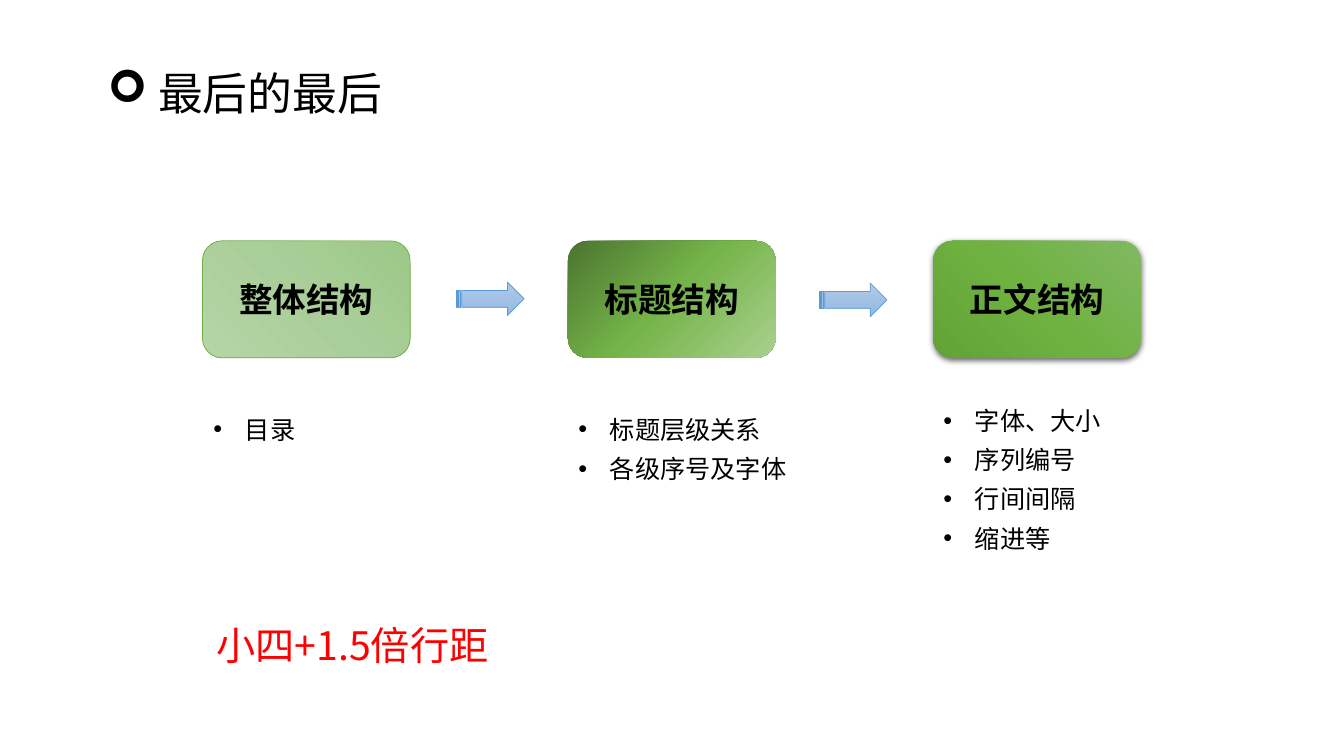
"""Build the closing slide on overall, heading and body structure."""
from pptx import Presentation
from pptx.dml.color import RGBColor
from pptx.enum.shapes import MSO_SHAPE
from pptx.enum.text import MSO_ANCHOR, MSO_AUTO_SIZE, PP_ALIGN
from pptx.oxml import parse_xml
from pptx.oxml.ns import nsdecls, qn
from pptx.util import Pt

FONT = "Noto Sans CJK SC"
BLACK, RED = "000000", "FF0000"

TITLE = "最后的最后"
REMARK = "小四+1.5倍行距"
CORNER_GLOW = (
    '<a:path path="circle"><a:fillToRect l="0" t="100000" r="100000" b="0"/></a:path>'
)
STAGES = [
    {
        "heading": "整体结构",
        "points": ["目录"],
        "points_box": (145.4, 285.8, 73.4, 33.1),
        "stops": [(0, "B5D5A7"), (50, "AACE9A"), (100, "9CC987")],
        "direction": CORNER_GLOW,
        "outline": "70AD47",
        "raised": False,
    },
    {
        "heading": "标题结构",
        "points": ["标题层级关系", "各级序号及字体"],
        "points_box": (406, 285.8, 164.2, 61.9),
        "stops": [(0, "4B7430"), (48, "74B349"), (100, "A9D18E")],
        "direction": '<a:lin ang="2700000" scaled="0"/>',
        "outline": None,
        "raised": False,
    },
    {
        "heading": "正文结构",
        "points": ["字体、大小", "序列编号", "行间间隔", "缩进等"],
        "points_box": (666.7, 279.4, 128.2, 118.8),
        "stops": [(0, "81B861"), (50, "6FB242"), (100, "62A336")],
        "direction": '<a:lin ang="8100000" scaled="0"/>',
        "outline": None,
        "raised": True,
    },
]
ARROW_STOPS = [(0, "B1CBE9"), (50, "A3C1E5"), (100, "93B9E4")]
ARROW_DIRECTION = '<a:lin ang="5400000" scaled="0"/>'
ARROW_OUTLINE = "5B9BD5"
ARROW_PLACES = [(326.2, 201.6), (585.4, 202.3)]

STAGE_LEFT, STAGE_TOP, STAGE_STEP = 144.7, 172.1, 261
STAGE_WIDTH, STAGE_HEIGHT = 148.3, 83.5
ARROW_WIDTH, ARROW_HEIGHT = 48.2, 23.8


def color(hex_code):
    return RGBColor.from_string(hex_code)


def add_run(paragraph, text, size, hex_code, bold=False):
    run = paragraph.add_run()
    run.text = text
    run.font.size = Pt(size)
    run.font.name = FONT
    run.font.bold = bold
    run.font.color.rgb = color(hex_code)
    properties = run.font._element
    properties.append(parse_xml(f'<a:ea {nsdecls("a")} typeface="{FONT}"/>'))


def add_bullet(paragraph, symbol, typeface, indent):
    properties = paragraph._p.get_or_add_pPr()
    properties.set("marL", str(Pt(indent)))
    properties.set("indent", str(-Pt(indent)))
    for tag, key, value in (("buFont", "typeface", typeface), ("buChar", "char", symbol)):
        properties.append(parse_xml(f'<a:{tag} {nsdecls("a")} {key}="{value}"/>'))


def add_lines(slide, box, lines, size, hex_code, bullet=None, spacing=None, wrap=False):
    frame = slide.shapes.add_textbox(*map(Pt, box)).text_frame
    frame.word_wrap = wrap
    frame.auto_size = MSO_AUTO_SIZE.SHAPE_TO_FIT_TEXT
    for index, line in enumerate(lines):
        paragraph = frame.add_paragraph() if index else frame.paragraphs[0]
        if spacing:
            paragraph.line_spacing = spacing
        if bullet:
            add_bullet(paragraph, *bullet)
        add_run(paragraph, line, size, hex_code)


def add_gradient_shape(slide, preset, box, stops, direction, outline):
    shape = slide.shapes.add_shape(preset, *map(Pt, box))
    shape.shadow.inherit = False
    shape.fill.background()
    stop_xml = "".join(
        f'<a:gs pos="{place * 1000}"><a:srgbClr val="{hex_code}"/></a:gs>'
        for place, hex_code in stops
    )
    gradient = parse_xml(
        f'<a:gradFill {nsdecls("a")} rotWithShape="1">'
        f"<a:gsLst>{stop_xml}</a:gsLst>{direction}</a:gradFill>"
    )
    properties = shape._element.spPr
    properties.replace(properties.find(qn("a:noFill")), gradient)
    if outline:
        shape.line.color.rgb = color(outline)
        shape.line.width = Pt(0.5)
    else:
        shape.line.fill.background()
    return shape


def raise_shape(shape):
    effects = shape._element.spPr.find(qn("a:effectLst"))
    effects.append(parse_xml(
        f'<a:outerShdw {nsdecls("a")} blurRad="{Pt(4.5)}" dist="{Pt(1.5)}" '
        'dir="5400000" algn="ctr" rotWithShape="0">'
        f'<a:srgbClr val="{BLACK}"><a:alpha val="63000"/></a:srgbClr></a:outerShdw>'
    ))


def add_stage(slide, index, stage):
    box = (STAGE_LEFT + index * STAGE_STEP, STAGE_TOP, STAGE_WIDTH, STAGE_HEIGHT)
    card = add_gradient_shape(
        slide, MSO_SHAPE.ROUNDED_RECTANGLE, box,
        stage["stops"], stage["direction"], stage["outline"],
    )
    if stage["raised"]:
        raise_shape(card)
    card.text_frame.vertical_anchor = MSO_ANCHOR.MIDDLE
    heading = card.text_frame.paragraphs[0]
    heading.alignment = PP_ALIGN.CENTER
    add_run(heading, stage["heading"], 24, BLACK, bold=True)
    add_lines(slide, stage["points_box"], stage["points"], 18, BLACK,
              bullet=("•", "Arial", 22.5), spacing=1.3)


def main():
    deck = Presentation()
    deck.slide_width, deck.slide_height = Pt(960), Pt(540)
    slide = deck.slides.add_slide(deck.slide_layouts[6])
    add_lines(slide, (69.8, 43.2, 212.4, 46.1), [TITLE], 32, BLACK,
              bullet=("➢", "Wingdings", 36))
    for index, stage in enumerate(STAGES):
        add_stage(slide, index, stage)
    for left, top in ARROW_PLACES:
        add_gradient_shape(
            slide, MSO_SHAPE.STRIPED_RIGHT_ARROW, (left, top, ARROW_WIDTH, ARROW_HEIGHT),
            ARROW_STOPS, ARROW_DIRECTION, ARROW_OUTLINE,
        )
    add_lines(slide, (147.6, 439.9, 211, 41), [REMARK], 28, RED, wrap=True)
    deck.save("out.pptx")


if __name__ == "__main__":
    main()
